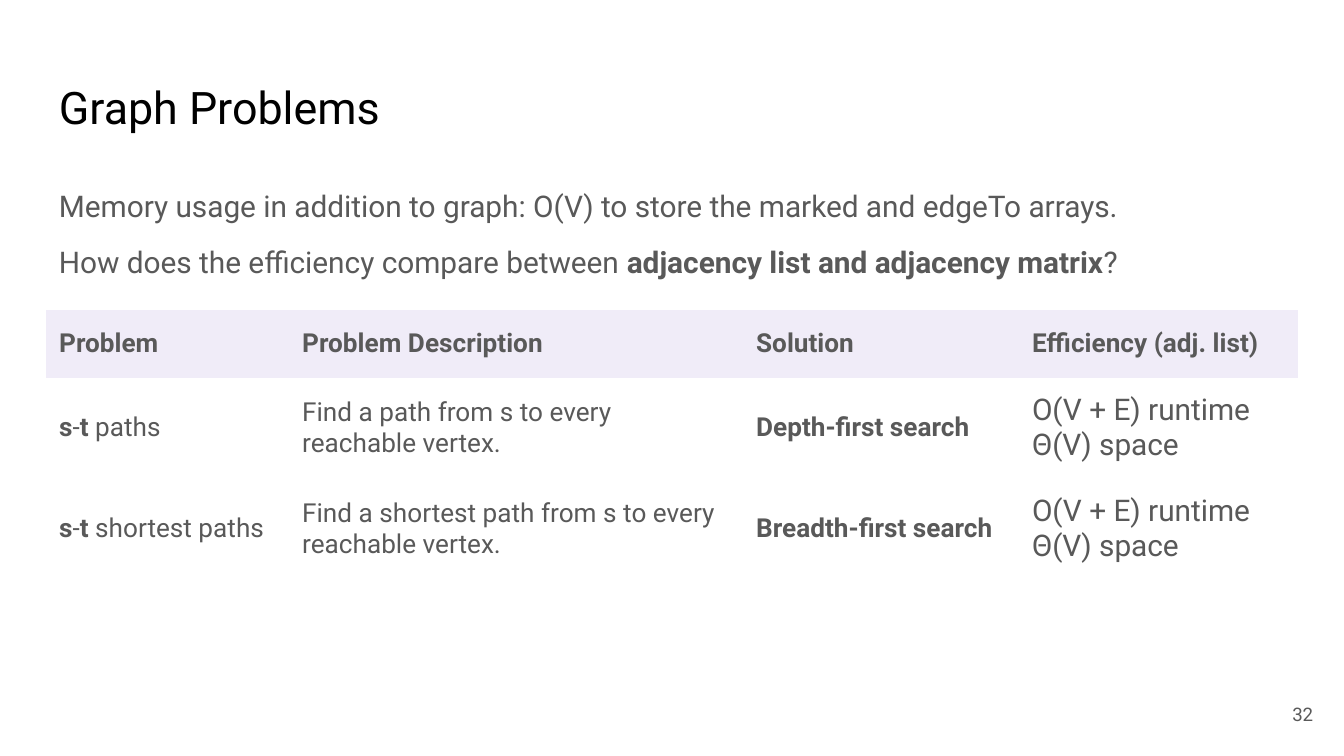
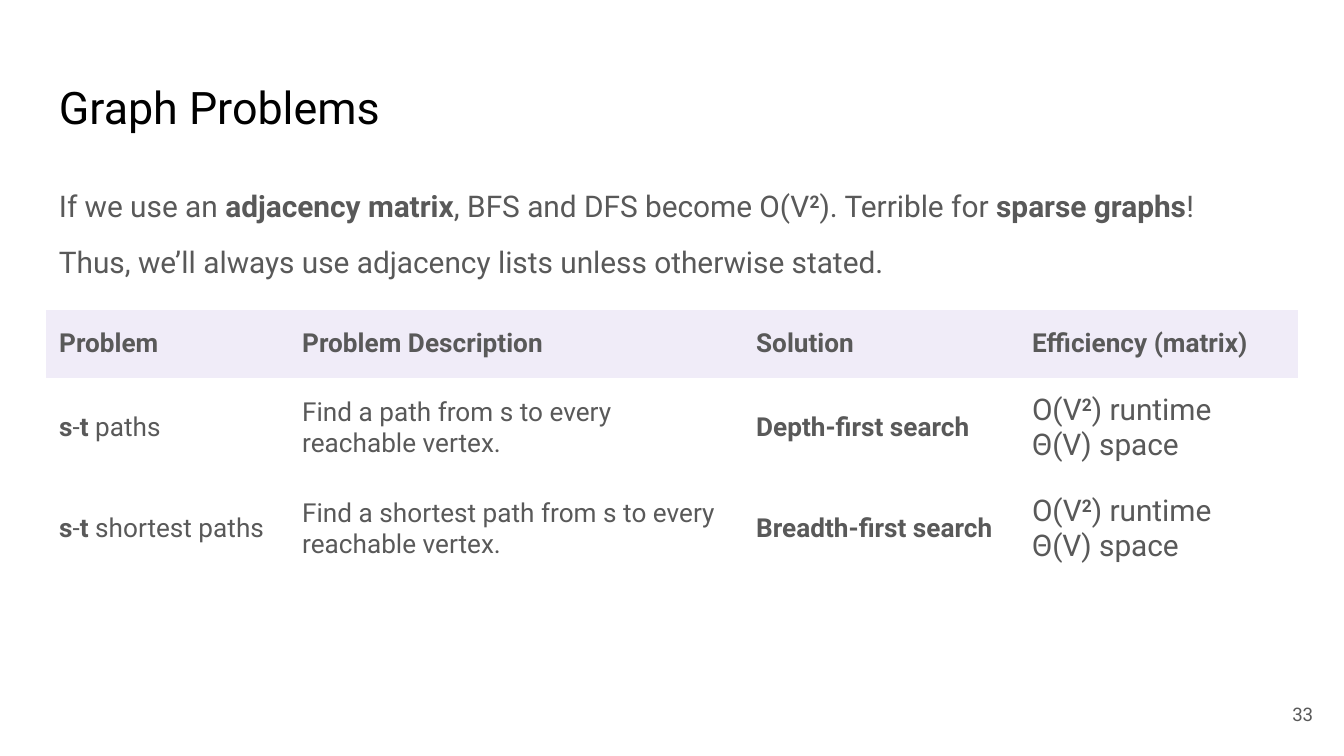
from dataclasses import dataclass

from pptx import Presentation
from pptx.dml.color import RGBColor
from pptx.enum.text import MSO_ANCHOR as Anchor, PP_ALIGN as Align
from pptx.oxml.ns import qn
from pptx.util import Pt


@dataclass(frozen=True)
class Theme:
    font: str = "Roboto"
    title_color: RGBColor = RGBColor(0x00, 0x00, 0x00)
    text_color: RGBColor = RGBColor(0x59, 0x59, 0x59)
    header_fill: RGBColor = RGBColor(0xF0, 0xEC, 0xF8)
    row_fill: RGBColor = RGBColor(0xFF, 0xFF, 0xFF)
    title_size: int = 24
    body_size: int = 16
    cell_size: int = 14
    number_size: int = 10


THEME = Theme()
LEFT, WIDTH, INSET = 24.5, 671, 7.2
COLUMN_WIDTHS = (130.2, 243.2, 147.8, 149.8)
ROW_HEIGHTS = (36, 54, 54)
NO_STYLE_NO_GRID = "{2D5ABB26-0587-4C30-8999-92F81FD0307C}"


def write_paragraph(paragraph, text, size, color=THEME.text_color):
    """Write text in which *...* is bold and *^...* is bold superscript."""
    font = paragraph.font
    font.name, font.size, font.color.rgb = THEME.font, Pt(size), color
    for index, part in enumerate(text.split("*")):
        if not part:
            continue
        run = paragraph.add_run()
        run.text = part.removeprefix("^")
        if index % 2:
            run.font.bold = True
        if part.startswith("^"):
            run.font._element.set("baseline", "30000")


def write_lines(frame, lines, size, color=THEME.text_color):
    for index, line in enumerate(lines):
        paragraph = frame.add_paragraph() if index else frame.paragraphs[0]
        write_paragraph(paragraph, line, size, color)


def add_text(slide, box, lines, size, color=THEME.text_color):
    shape = slide.shapes.add_textbox(*map(Pt, box))
    frame = shape.text_frame
    frame.word_wrap = True
    frame.margin_left = frame.margin_right = Pt(INSET)
    frame.margin_top = frame.margin_bottom = Pt(INSET)
    write_lines(frame, lines, size, color)
    return frame


def add_title(slide, title):
    add_text(slide, (LEFT, 35.3, WIDTH, 45.4), [title],
             THEME.title_size, THEME.title_color)


def add_body(slide, lines):
    frame = add_text(slide, (LEFT, 90.7, WIDTH, 64.8), lines, THEME.body_size)
    for index, paragraph in enumerate(frame.paragraphs):
        paragraph.line_spacing = 1.15
        if index:
            paragraph.space_before = paragraph.space_after = Pt(8)


def add_slide_number(slide, number):
    frame = add_text(slide, (667.4, 367.2, 43.2, 31), [str(number)], THEME.number_size)
    frame.vertical_anchor = Anchor.MIDDLE
    frame.paragraphs[0].alignment = Align.RIGHT


def fill_cell(cell, lines, size, fill):
    cell.fill.solid()
    cell.fill.fore_color.rgb = fill
    cell.vertical_anchor = Anchor.MIDDLE
    cell.margin_left = cell.margin_right = Pt(INSET)
    cell.margin_top = cell.margin_bottom = Pt(INSET)
    write_lines(cell.text_frame, lines, size)


def add_problem_table(slide, representation, runtime):
    efficiency = f"{runtime} runtime\nΘ(V) space"
    rows = (
        ("*Problem*", "*Problem Description*", "*Solution*",
         f"*Efficiency ({representation})*"),
        ("*s*-*t* paths", "Find a path from s to every reachable vertex.",
         "*Depth-first search*", efficiency),
        ("*s*-*t* shortest paths",
         "Find a shortest path from s to every reachable vertex.",
         "*Breadth-first search*", efficiency),
    )
    table = slide.shapes.add_table(
        len(rows), len(COLUMN_WIDTHS), Pt(LEFT), Pt(166.3),
        Pt(sum(COLUMN_WIDTHS)), Pt(sum(ROW_HEIGHTS))).table
    table.first_row = table.horz_banding = False
    table._tbl.tblPr.find(qn("a:tableStyleId")).text = NO_STYLE_NO_GRID
    for column, width in zip(table.columns, COLUMN_WIDTHS):
        column.width = Pt(width)
    for row_index, texts in enumerate(rows):
        table.rows[row_index].height = Pt(ROW_HEIGHTS[row_index])
        fill = THEME.row_fill if row_index else THEME.header_fill
        for column_index, text in enumerate(texts):
            size = THEME.body_size if text == efficiency else THEME.cell_size
            fill_cell(table.cell(row_index, column_index), text.split("\n"), size, fill)


def add_graph_slide(presentation, number, body, representation, runtime):
    slide = presentation.slides.add_slide(presentation.slide_layouts[6])
    add_body(slide, body)
    add_slide_number(slide, number)
    add_title(slide, "Graph Problems")
    add_problem_table(slide, representation, runtime)


def main():
    presentation = Presentation()
    presentation.slide_width, presentation.slide_height = Pt(720), Pt(405)
    add_graph_slide(
        presentation, 32,
        ["Memory usage in addition to graph: O(V) to store the marked and edgeTo arrays.",
         "How does the efficiency compare between *adjacency list and adjacency matrix*?"],
        "adj. list", "O(V + E)")
    add_graph_slide(
        presentation, 33,
        ["If we use an *adjacency matrix*, BFS and DFS become O(V*^2*). "
         "Terrible for *sparse graphs*!",
         "Thus, we’ll always use adjacency lists unless otherwise stated."],
        "matrix", "O(V*^2*)")
    presentation.save("out.pptx")


if __name__ == "__main__":
    main()
